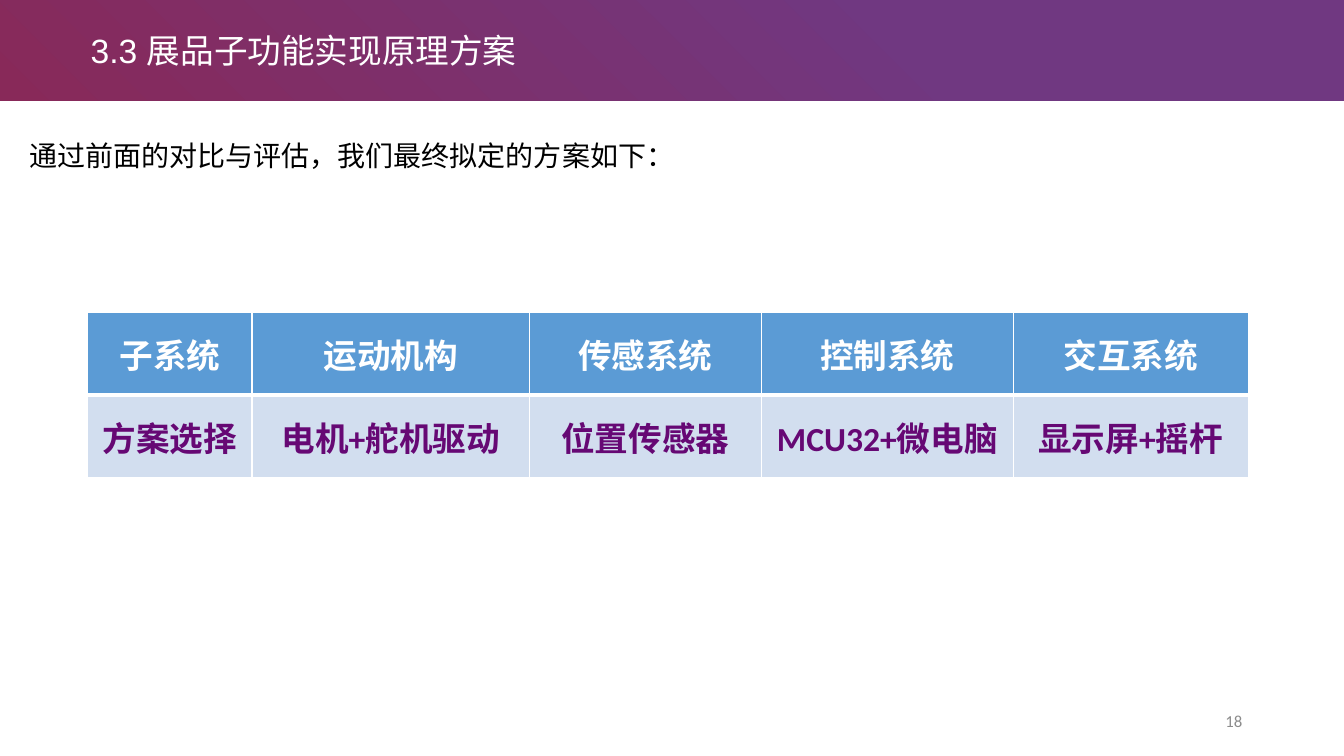
import pptx
import pptx.util
import pptx.dml.color
import pptx.enum.shapes
import pptx.enum.text
import pptx.oxml
import pptx.oxml.ns

Inches, Pt = pptx.util.Inches, pptx.util.Pt
RGBColor = pptx.dml.color.RGBColor
ALIGN, ANCHOR = pptx.enum.text.PP_ALIGN, pptx.enum.text.MSO_ANCHOR

TITLE = "3.3 展品子功能实现原理方案"
INTRO = "通过前面的对比与评估，我们最终拟定的方案如下："
PAGE_NUMBER = "18"
SUBSYSTEMS = [  # subsystem, chosen scheme, column width
    ("子系统", "方案选择", 1.63),
    ("运动机构", "电机+舵机驱动", 2.75),
    ("传感系统", "位置传感器", 2.3),
    ("控制系统", "MCU32+微电脑", 2.5),
    ("交互系统", "显示屏+摇杆", 2.33),
]
ROW_HEIGHT = 0.82

WHITE = RGBColor(0xFF, 0xFF, 0xFF)
BLACK = RGBColor(0, 0, 0)
GREY = RGBColor(0x8C, 0x8C, 0x8C)
PURPLE = RGBColor(0x70, 0x38, 0x81)
CRIMSON = RGBColor(0x88, 0x29, 0x59)
VIOLET = RGBColor(0x66, 0x08, 0x74)
HEADER_BLUE = RGBColor(0x5B, 0x9B, 0xD5)
PALE_BLUE = RGBColor(0xD2, 0xDE, 0xEF)
CHINESE_FONT = "Noto Sans CJK SC"


def write(frame, text, size, font, color, align=ALIGN.LEFT, bold=False):
    """Put one formatted run in the frame and return its paragraph."""
    para = frame.paragraphs[0]
    para.alignment = align
    span = para.add_run()
    span.text = text
    span.font.size, span.font.name, span.font.bold = Pt(size), font, bold
    span.font.color.rgb = color
    east_asian = pptx.oxml.parse_xml(
        f'<a:ea {pptx.oxml.ns.nsdecls("a")} typeface="{CHINESE_FONT}"/>')
    span.font._element.find(pptx.oxml.ns.qn("a:latin")).addnext(east_asian)
    return para


def add_text_box(page, left, top, width, height, anchor=ANCHOR.TOP):
    box = page.shapes.add_textbox(*map(Inches, (left, top, width, height)))
    box.text_frame.word_wrap = True
    box.text_frame.vertical_anchor = anchor
    return box.text_frame


def set_borders(cell, widths):
    """Draw white borders; widths in points by side, in schema order."""
    for position, (side, width) in enumerate(widths.items()):
        cell._tc.get_or_add_tcPr().insert(position, pptx.oxml.parse_xml(
            f'<a:ln{side} {pptx.oxml.ns.nsdecls("a")} w="{Pt(width)}">'
            f'<a:solidFill><a:srgbClr val="{WHITE}"/></a:solidFill></a:ln{side}>'))


def add_band(page):
    band = page.shapes.add_shape(pptx.enum.shapes.MSO_SHAPE.RECTANGLE,
                                 0, 0, Inches(13.33), Inches(1))
    band.shadow.inherit = False
    band.line.fill.background()
    band.fill.gradient()
    band.fill.gradient_angle = 225
    for stop, position, color in zip(band.fill.gradient_stops, (0.32, 1), (PURPLE, CRIMSON)):
        stop.position = position
        stop.color.rgb = color
    page.shapes._spTree.insert(2, band._element)


def add_title(page):
    title = page.shapes.title
    title.left, title.top, title.width, title.height = map(Inches, (0.8, 0.25, 11.62, 0.5))
    frame = title.text_frame
    frame.word_wrap = True
    frame.auto_size = pptx.enum.text.MSO_AUTO_SIZE.NONE
    frame.vertical_anchor = ANCHOR.TOP
    para = write(frame, TITLE, 24, "Arial", WHITE)
    para.line_spacing = 1.0
    para.space_before = Pt(0)


def add_scheme_table(page):
    widths = [width for _, _, width in SUBSYSTEMS]
    table = page.shapes.add_table(2, len(SUBSYSTEMS), Inches(0.87), Inches(3.1),
                                  Inches(sum(widths)), Inches(2 * ROW_HEIGHT)).table
    for row in table.rows:
        row.height = Inches(ROW_HEIGHT)
    row_styles = [
        (HEADER_BLUE, WHITE, {"L": 1, "R": 1, "T": 1, "B": 3}),
        (PALE_BLUE, VIOLET, {"L": 1, "R": 1, "T": 3, "B": 1}),
    ]
    for column, (subsystem, scheme, width) in enumerate(SUBSYSTEMS):
        table.columns[column].width = Inches(width)
        for row, text in enumerate((subsystem, scheme)):
            fill, color, borders = row_styles[row]
            cell = table.cell(row, column)
            cell.vertical_anchor = ANCHOR.MIDDLE
            cell.fill.solid()
            cell.fill.fore_color.rgb = fill
            set_borders(cell, borders)
            write(cell.text_frame, text, 24, "Calibri", color, ALIGN.CENTER, True)


def main():
    deck = pptx.Presentation()
    deck.slide_width, deck.slide_height = Inches(13.33), Inches(7.5)
    page = deck.slides.add_slide(deck.slide_layouts[5])
    add_band(page)
    add_title(page)

    intro = write(add_text_box(page, -0.14, 1.16, 11.73, 0.54),
                  INTRO, 20, CHINESE_FONT, BLACK, ALIGN.JUSTIFY)
    intro.line_spacing = 1.5
    intro._p.get_or_add_pPr().set("indent", str(Inches(0.33)))

    add_scheme_table(page)
    write(add_text_box(page, 9.42, 6.95, 3, 0.4, ANCHOR.MIDDLE),
          PAGE_NUMBER, 12, "Calibri", GREY, ALIGN.RIGHT)
    deck.save("out.pptx")


if __name__ == "__main__":
    main()
